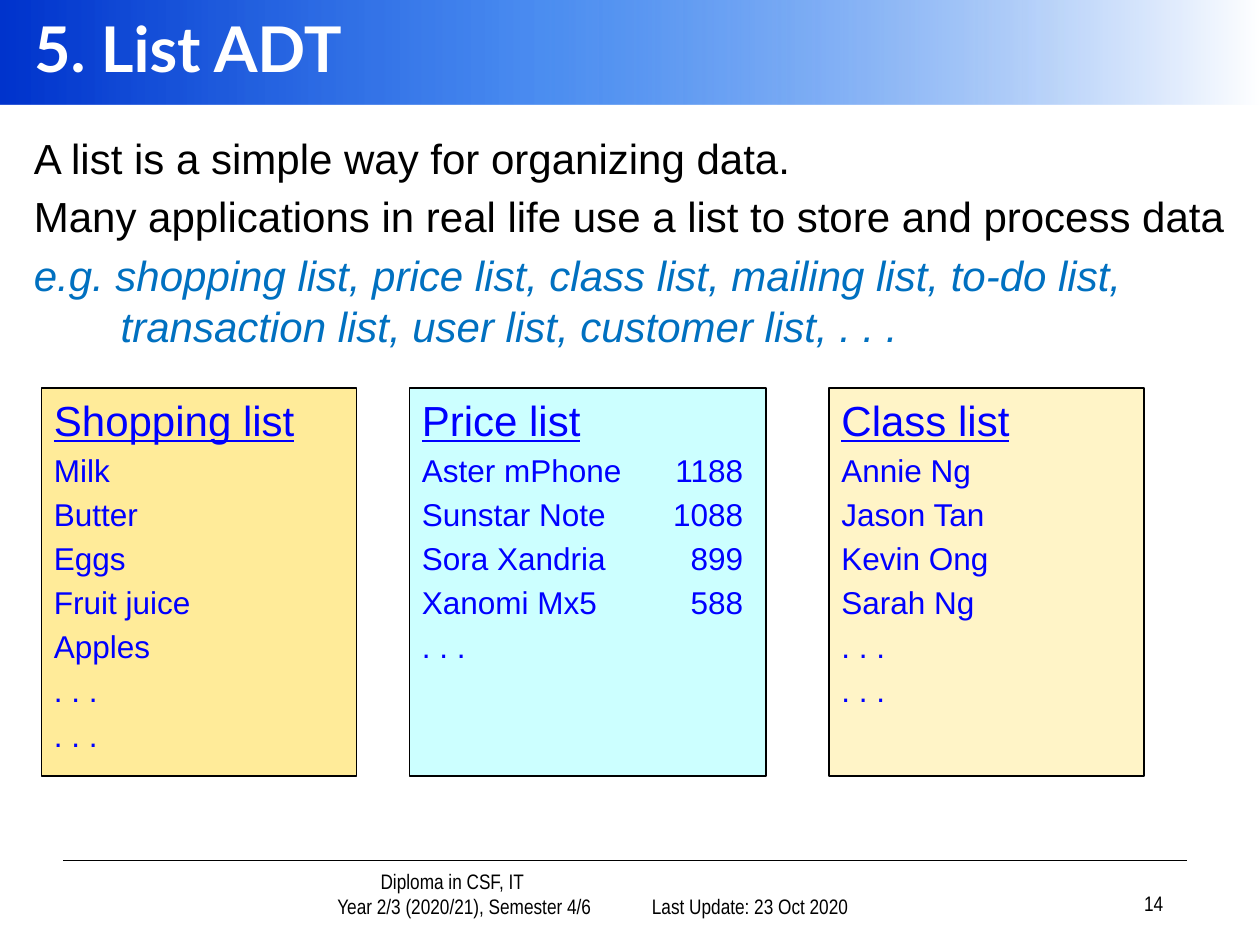
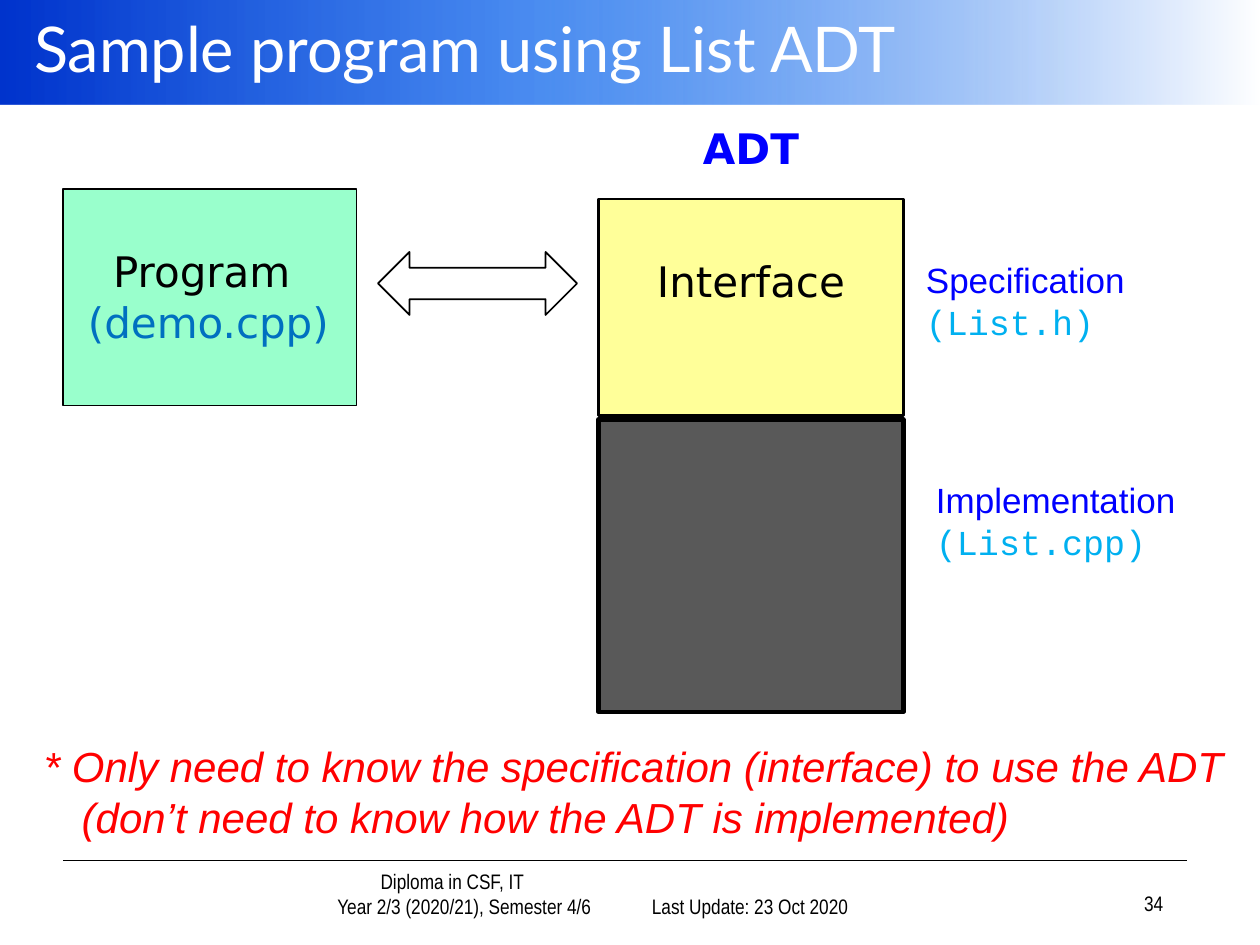
import pptx
import pptx.util
import pptx.dml.color
import pptx.enum.shapes
import pptx.enum.text
import pptx.oxml.ns
from lxml import etree

Inches = pptx.util.Inches
Pt = pptx.util.Pt
qn = pptx.oxml.ns.qn
SHAPE = pptx.enum.shapes.MSO_SHAPE
ALIGN = pptx.enum.text.PP_ALIGN
ANCHOR = pptx.enum.text.MSO_ANCHOR
AUTO = pptx.enum.text.MSO_AUTO_SIZE

BLACK, WHITE, BLUE = "000000", "FFFFFF", "0000FF"
MID_BLUE, SKY, RED = "0070C0", "00B0F0", "FF0000"
BAND_STOPS = [(0, "0033CC", 100), (43, "005EEB", 70), (100, WHITE, 100)]
BODY, NARROW, CODE, DIAGRAM, HEADING = "Arial", "Arial Narrow", "Courier New", "DejaVu Sans", "Lato"


def rgb(value):
    return pptx.dml.color.RGBColor.from_string(value)


def add_run(p, text, size, color, font=BODY, bold=False, italic=False, underline=False):
    r = p.add_run()
    r.text = text
    f = r.font
    f.name, f.size, f.color.rgb = font, Pt(size), rgb(color)
    f.bold, f.italic, f.underline = bold, italic, underline


def add_para(tf, text, size, color, align=ALIGN.LEFT, before=0, left=0, hanging=0, **style):
    p = tf.paragraphs[0]
    if p.runs:
        p = tf.add_paragraph()
    p.alignment = align
    p.space_before = Pt(before)
    if left:
        pPr = p._p.get_or_add_pPr()
        pPr.set("marL", str(Inches(left)))
        pPr.set("indent", str(-Inches(hanging)))
    add_run(p, text, size, color, **style)
    return p


def add_tab_stop(p, position):
    tabs = etree.SubElement(p._p.get_or_add_pPr(), qn("a:tabLst"))
    etree.SubElement(tabs, qn("a:tab"), pos=str(Inches(position)), algn="r")


def add_text_box(s, x, y, w, h, anchor=ANCHOR.TOP):
    tf = s.shapes.add_textbox(Inches(x), Inches(y), Inches(w), Inches(h)).text_frame
    tf.word_wrap = True
    tf.vertical_anchor = anchor
    return tf


def add_box(s, x, y, w, h, fill=None, line=None, width=0.75, kind=SHAPE.RECTANGLE):
    sp = s.shapes.add_shape(kind, Inches(x), Inches(y), Inches(w), Inches(h))
    sp.shadow.inherit = False
    if fill:
        sp.fill.solid()
        sp.fill.fore_color.rgb = rgb(fill)
    else:
        sp.fill.background()
    if line:
        sp.line.color.rgb = rgb(line)
        sp.line.width = Pt(width)
    else:
        sp.line.fill.background()
    sp.text_frame.word_wrap = True
    sp.text_frame.vertical_anchor = ANCHOR.TOP
    return sp


def add_band(s):
    sp = add_box(s, 0, 0, 10, 0.83)
    sp.fill.gradient()
    sp.fill.gradient_angle = 0
    stops = sp.element.spPr.find(qn("a:gradFill")).find(qn("a:gsLst"))
    for gs in list(stops):
        stops.remove(gs)
    for position, color, opacity in BAND_STOPS:
        gs = etree.SubElement(stops, qn("a:gs"), pos=str(position * 1000))
        clr = etree.SubElement(gs, qn("a:srgbClr"), val=color)
        if opacity < 100:
            etree.SubElement(clr, qn("a:alpha"), val=str(opacity * 1000))


def add_title(s, text, bold):
    title = s.shapes.title
    title.left, title.top = Inches(0.17), Inches(0)
    title.width, title.height = Inches(9.83), Inches(0.75)
    tf = title.text_frame
    tf.auto_size = AUTO.NONE
    tf.vertical_anchor = ANCHOR.MIDDLE
    add_para(tf, text, 36, WHITE, font=HEADING, bold=bold)
    s.shapes.element.append(title.element)


def add_footer(s, number):
    rule = s.shapes.add_connector(pptx.enum.shapes.MSO_CONNECTOR.STRAIGHT,
                                  Inches(0.5), Inches(6.83), Inches(9.42), Inches(6.83))
    rule.line.color.rgb = rgb(BLACK)
    rule.line.width = Pt(1)
    etree.SubElement(rule.element.spPr, qn("a:effectLst"))
    tf = add_text_box(s, 1.68, 6.92, 3.32, 0.42, ANCHOR.BOTTOM)
    for text, left in [("Diploma in CSF, IT", 0.5), ("Year 2/3 (2020/21), Semester 4/6", 0.69)]:
        add_para(tf, text, 12, BLACK, ALIGN.CENTER, left=left, font=NARROW)
    for text, x, y in [("Last Update: 23 Oct 2020", 4.75, 6.92), (number, 7.25, 6.9)]:
        tf = add_text_box(s, x, y, 2.08, 0.42, ANCHOR.BOTTOM)
        add_para(tf, text, 12, BLACK, ALIGN.RIGHT, font=NARROW)


def new_slide(prs, title, number, bold=False):
    s = prs.slides.add_slide(prs.slide_layouts[5])
    add_band(s)
    add_title(s, title, bold)
    add_footer(s, number)
    return s


def add_list_card(s, x, w, fill, heading, items):
    tf = add_box(s, x, 3.08, w, 3.08, fill, BLACK).text_frame
    add_para(tf, heading, 24, BLUE, before=4.8, underline=True)
    for item in items:
        p = add_para(tf, item, 18, BLUE, before=3.6)
        if "\t" in item:
            add_tab_stop(p, 2.55)


def add_part_label(s, x, y, name, file):
    tf = add_text_box(s, x, y, 2.42, 0.94)
    add_para(tf, name, 20, BLUE)
    add_para(tf, file, 20, SKY, font=CODE)


def build_list_slide(prs):
    s = new_slide(prs, "5. List ADT", "14", bold=True)
    tf = add_text_box(s, 0.17, 1, 9.83, 1.83)
    for text in ["A list is a simple way for organizing data.",
                 "Many applications in real life use a list to store and process data"]:
        add_para(tf, text, 24, BLACK, before=4.8)
    add_para(tf, "e.g. shopping list, price list, class list, mailing list, to-do list, "
             "transaction list, user list, customer list, . . .",
             24, MID_BLUE, before=4.8, left=0.69, hanging=0.69, italic=True)
    more = ". . ."
    add_list_card(s, 0.33, 2.5, "FFEB99", "Shopping list",
                  ["Milk", "Butter", "Eggs", "Fruit juice", "Apples", more, more])
    add_list_card(s, 3.25, 2.83, "CCFFFF", "Price list",
                  ["Aster mPhone\t1188", "Sunstar Note\t1088", "Sora Xandria\t899",
                   "Xanomi Mx5\t588", more])
    add_list_card(s, 6.58, 2.5, "FFF4C7", "Class list",
                  ["Annie Ng", "Jason Tan", "Kevin Ong", "Sarah Ng", more, more])


def build_program_slide(prs):
    s = new_slide(prs, "Sample program using List ADT", "34")
    program = add_box(s, 0.5, 1.5, 2.33, 1.72, "99FFCC", BLACK).text_frame
    program.margin_top = Inches(0.45)
    add_para(program, "Program", 24, BLACK, left=0.3, font=DIAGRAM)
    add_para(program, "(demo.cpp)", 24, MID_BLUE, left=0.1, font=DIAGRAM)
    add_box(s, 3, 2, 1.58, 0.5, line=BLACK, width=1, kind=SHAPE.LEFT_RIGHT_ARROW)

    adt = add_text_box(s, 4.75, 0.92, 2.42, 0.5)
    add_para(adt, "ADT", 24, BLUE, ALIGN.CENTER, font=DIAGRAM, bold=True)
    interface = add_box(s, 4.75, 1.58, 2.42, 1.72, "FFFF99", BLACK, 1.5).text_frame
    interface.margin_top = Inches(0.45)
    add_para(interface, "Interface", 24, BLACK, ALIGN.CENTER, font=DIAGRAM)
    add_box(s, 4.75, 3.33, 2.42, 2.32, "595959", BLACK, 2.5)

    add_part_label(s, 7.25, 2, "Specification", "(List.h)")
    add_part_label(s, 7.33, 3.75, "Implementation", "(List.cpp)")
    note = add_text_box(s, 0.25, 5.83, 9.75, 0.91)
    add_para(note, "* Only need to know the specification (interface) to use the ADT "
             "(don’t need to know how the ADT is implemented)",
             24, RED, left=0.3, hanging=0.3, italic=True)


def main():
    prs = pptx.Presentation()
    prs.slide_width, prs.slide_height = Inches(10), Inches(7.5)
    build_list_slide(prs)
    build_program_slide(prs)
    prs.save("out.pptx")


if __name__ == "__main__":
    main()
